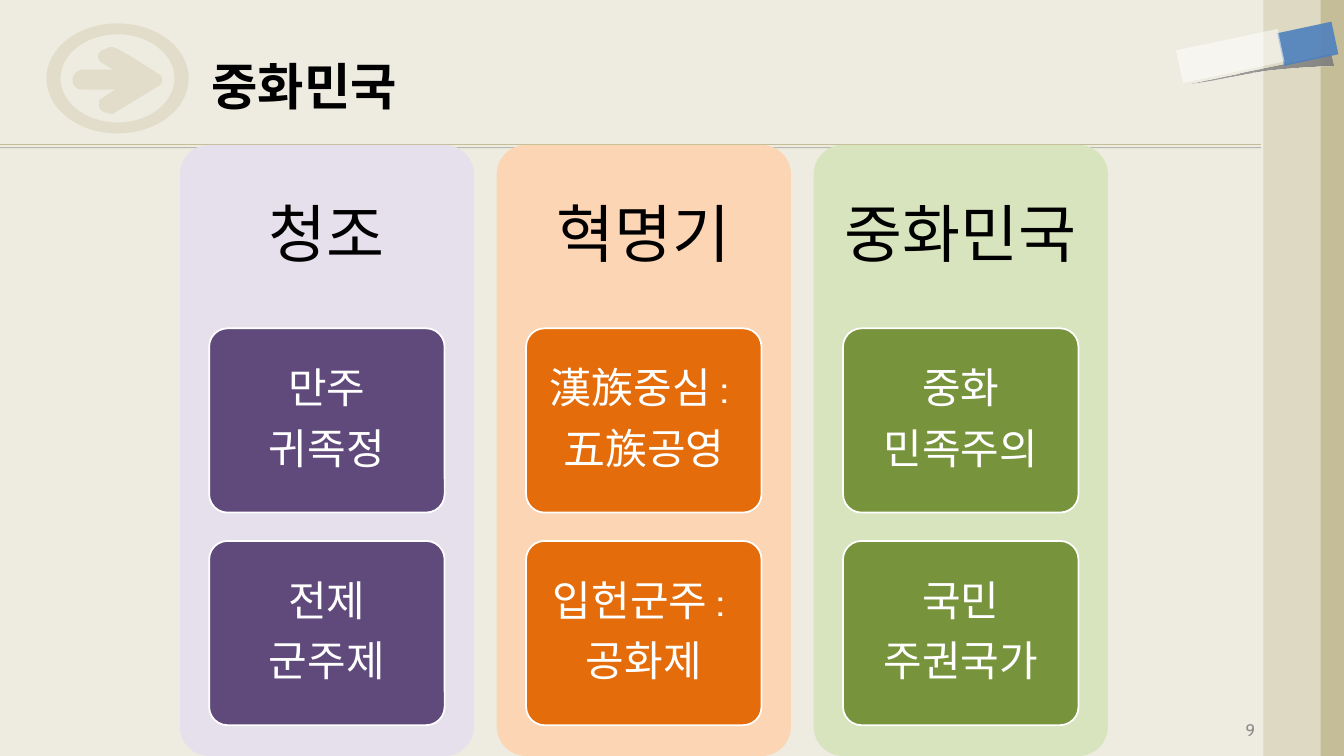
from lxml import etree
from pptx import Presentation
from pptx.dml.color import RGBColor
from pptx.enum import shapes, text
from pptx.oxml import ns
from pptx.util import Pt

# Content
TITLE = "중화민국"
PAGE = "9"
COLUMNS = [  # heading, panel colour, box colour, boxes
    ("청조", "E6E0EC", "604A7B", [["만주", "귀족정"], ["전제", "군주제"]]),
    ("혁명기", "FCD5B5", "E46C0A", [["漢族중심 : ", "五族공영"], ["입헌군주 : ", "공화제"]]),
    ("중화민국", "D7E4BD", "77933C", [["중화", "민족주의"], ["국민", "주권국가"]]),
]

# Outlines: a start point, then lines (2 numbers) and curves (6 numbers)
ARROW = [
    (113, 52.6), (107.3, 49, 88.6, 36.7, 81.4, 33.8),
    (76.3, 33.1, 77.8, 34.6, 72.7, 36), (69.8, 37.4, 69.1, 41, 71.3, 43.9),
    (80.6, 49.7), (58.3, 49.7), (53.3, 51.1, 51.8, 54.7, 51.8, 56.9),
    (51.1, 59.8, 53.3, 63.4, 58.3, 64.1), (82.1, 64.1), (71.3, 71.3),
    (69.8, 73.4, 70.6, 77, 72, 78.5), (73.4, 79.9, 76.3, 81.4, 80.6, 81.4),
    (97.2, 71.3, 113.8, 61.2, 113.8, 61.2), (115.9, 59, 115.9, 58.3, 115.9, 56.9),
    (115.9, 55.4, 115.2, 54, 113, 52.6),
]
PEN_SHADOW = [
    (950.4, 38.2), (952.6, 46.8), (891.4, 49, 878.4, 56.2, 849.6, 59.8),
    (883.4, 52.6, 916.6, 46.1, 950.4, 38.2),
]

# Layout
PANEL_X, PANEL_Y, PANEL_W, PANEL_H, PANEL_STEP = 128.4, 103.5, 210.2, 436.5, 226.4
HEAD_H = 131
BOX_INSET, BOX_W, BOX_H, BOX_STEP = 21, 168.2, 131.6, 151.9
RULE_Y = 103.5


def rgb(value):
    return RGBColor.from_string(value)


def add(parent, tag, **attributes):
    return etree.SubElement(parent, ns.qn("a:" + tag), **attributes)


def paint(sp, color, alpha=100, line=None):
    sp.shadow.inherit = False
    sp.fill.solid()
    sp.fill.fore_color.rgb = rgb(color)
    if alpha < 100:
        clr = sp._element.spPr.find(".//" + ns.qn("a:srgbClr"))
        add(clr, "alpha", val=str(alpha * 1000))
    if line:
        sp.line.color.rgb = rgb(line)
        sp.line.width = Pt(1.25)
    else:
        sp.line.fill.background()


def block(kind, x, y, w, h, color, alpha=100, line=None, rotation=0):
    sp = s.shapes.add_shape(kind, Pt(x), Pt(y), Pt(w), Pt(h))
    paint(sp, color, alpha, line)
    sp.rotation = rotation
    if kind == shapes.MSO_SHAPE.ROUNDED_RECTANGLE:
        sp.adjustments[0] = 0.1
    return sp


def ellipse(cx, cy, rx, ry):
    kx, ky = rx * 0.5523, ry * 0.5523
    left, right, top, bottom = cx - rx, cx + rx, cy - ry, cy + ry
    return [
        (cx, top),
        (cx + kx, top, right, cy - ky, right, cy),
        (right, cy + ky, cx + kx, bottom, cx, bottom),
        (cx - kx, bottom, left, cy + ky, left, cy),
        (left, cy - ky, cx - kx, top, cx, top),
    ]


def freeform(outlines, color, alpha=100):
    # The end points fix the frame; curves are then put into the outline
    ends = [(Pt(seg[-2]), Pt(seg[-1])) for outline in outlines for seg in outline]
    fb = s.shapes.build_freeform(*ends[0], scale=1.0)
    fb.add_line_segments(ends[1:])
    sp = fb.convert_to_shape()
    geometry = sp._element.spPr.find(".//" + ns.qn("a:path"))
    for command in list(geometry):
        geometry.remove(command)
    for outline in outlines:
        for i, seg in enumerate(outline):
            tag = "moveTo" if i == 0 else "lnTo" if len(seg) == 2 else "cubicBezTo"
            command = add(geometry, tag)
            for x, y in zip(seg[::2], seg[1::2]):
                add(command, "pt", x=str(Pt(x) - sp.left), y=str(Pt(y) - sp.top))
        add(geometry, "close")
    paint(sp, color, alpha)
    return sp


def textbox(x, y, w, h):
    return s.shapes.add_textbox(Pt(x), Pt(y), Pt(w), Pt(h))


def write(sp, lines, size, color, align, bold=False, inset=(7.2, 3.6), spaced=False):
    tf = sp.text_frame
    tf.word_wrap = True
    tf.vertical_anchor = text.MSO_ANCHOR.MIDDLE
    tf.margin_left = tf.margin_right = Pt(inset[0])
    tf.margin_top = tf.margin_bottom = Pt(inset[1])
    for i, line in enumerate(lines):
        p = tf.add_paragraph() if i else tf.paragraphs[0]
        p.alignment = align
        if spaced:
            p.line_spacing = 0.9
            add(add(p._p.get_or_add_pPr(), "spcAft"), "spcPct", val="35000")
        r = p.add_run()
        r.text = line
        r.font.name = "Cabin"
        r.font.size = Pt(size)
        r.font.bold = bold
        r.font.color.rgb = rgb(color)


prs = Presentation()
prs.slide_width, prs.slide_height = Pt(960), Pt(540)
s = prs.slides.add_slide(prs.slide_layouts[6])
s.background.fill.solid()
s.background.fill.fore_color.rgb = rgb("EEECE1")
RECT = shapes.MSO_SHAPE.RECTANGLE
ROUND = shapes.MSO_SHAPE.ROUNDED_RECTANGLE
CENTER = text.PP_ALIGN.CENTER

# Rule with its shadow
rule = s.shapes.add_connector(shapes.MSO_CONNECTOR.STRAIGHT, 0, Pt(RULE_Y), Pt(900.7), Pt(RULE_Y))
rule.line.color.rgb = rgb("C4BD97")
rule.line.width = Pt(0.75)
shadow = add(add(rule._element.spPr, "effectLst"), "outerShdw", blurRad="0",
             dist=str(Pt(2)), dir="5400000", algn="t", rotWithShape="0")
add(add(shadow, "srgbClr", val="000000"), "alpha", val="22000")

# Arrow in a ring
freeform([ARROW], "C4BD97", 30)
freeform([ellipse(84, 56, 50.8, 39.3), ellipse(84, 56, 40.7, 31.5)], "C4BD97", 30)

# Side bands
block(RECT, 903.6, 0, 56.4, 540, "C4BD97")
block(RECT, 902.4, 0, 41, 540, "DDD9C3")

# Pen and its fading shadow
wedge = freeform([PEN_SHADOW], "808080")
solid = wedge._element.spPr.find(ns.qn("a:solidFill"))
fade = etree.Element(ns.qn("a:gradFill"))
stops = add(fade, "gsLst")
for position, alpha in [("0", "100000"), ("100000", "56000")]:
    add(add(add(stops, "gs", pos=position), "srgbClr", val="808080"), "alpha", val=alpha)
add(add(fade, "path", path="circle"), "fillToRect", l="100000", t="100000")
wedge._element.spPr.replace(solid, fade)
block(RECT, 922.3, 11.5, 23.8, 39.6, "4F81BD", 90, rotation=78)
block(RECT, 866.9, 2.9, 23.8, 74.2, "FFFFFF", 50, rotation=78)

# Page number and title
write(textbox(679.7, 509.4, 223.9, 23.8), [PAGE], 12, "8C8C8C", text.PP_ALIGN.RIGHT)
write(textbox(144, 43.9, 648, 33.8), [TITLE], 36, "000000", text.PP_ALIGN.LEFT, bold=True)

# Columns
for col, (heading, panel_color, box_color, boxes) in enumerate(COLUMNS):
    x = PANEL_X + col * PANEL_STEP
    block(ROUND, x, PANEL_Y, PANEL_W, PANEL_H, panel_color)
    write(textbox(x, PANEL_Y, PANEL_W, HEAD_H), [heading], 45, "000000", CENTER,
          inset=(13.5, 13.5), spaced=True)
    for row, lines in enumerate(boxes):
        y = PANEL_Y + HEAD_H + row * BOX_STEP
        box = block(ROUND, x + BOX_INSET, y, BOX_W, BOX_H, box_color, line="FFFFFF")
        write(box, lines, 30, "FFFFFF", CENTER, inset=(6, 4.5), spaced=True)

prs.save("out.pptx")
